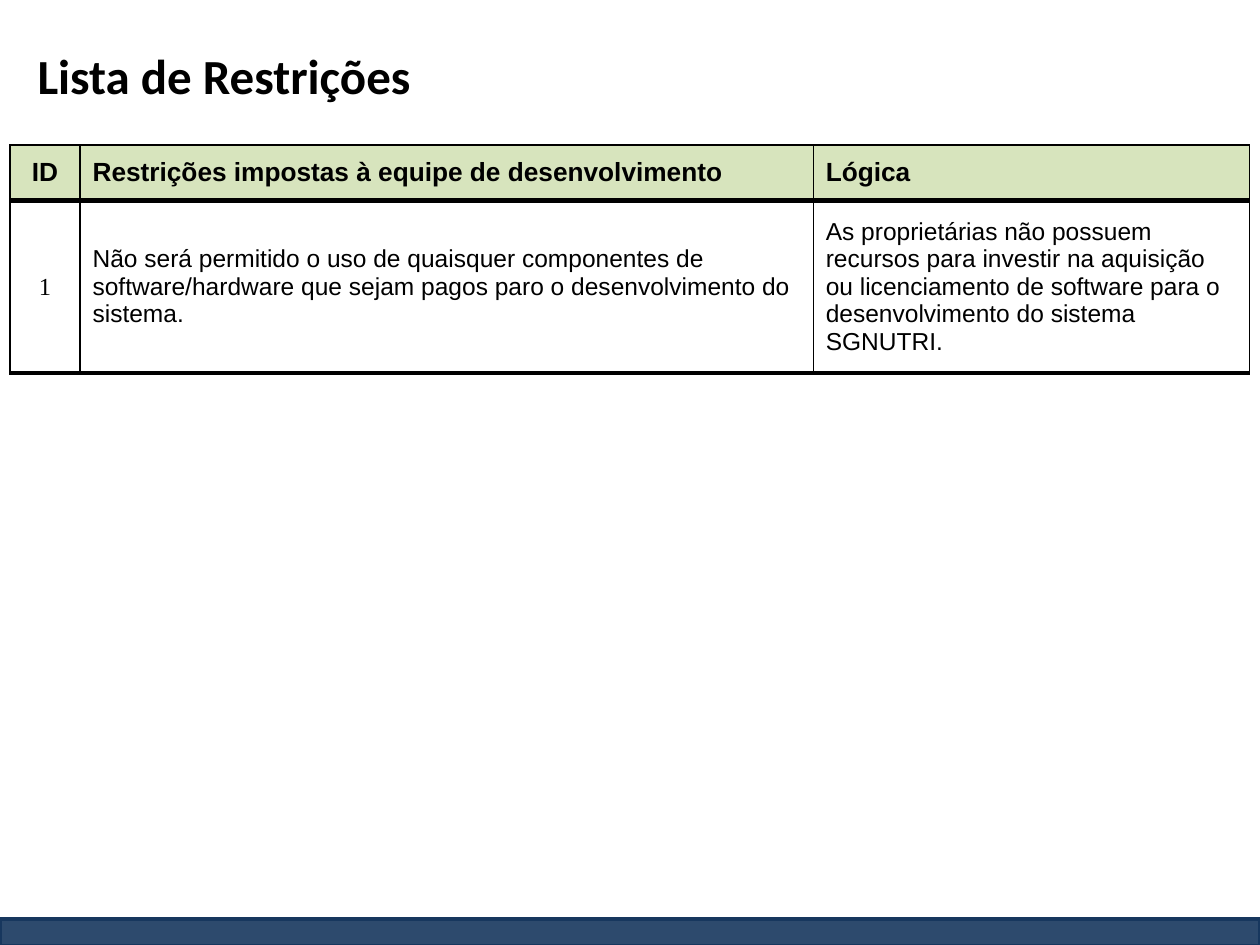
from lxml import etree
from pptx import Presentation
from pptx.dml.color import RGBColor
from pptx.enum.shapes import MSO_SHAPE
from pptx.enum.text import MSO_ANCHOR, PP_ALIGN
from pptx.oxml.ns import qn
from pptx.util import Pt

RECTANGLE = MSO_SHAPE.RECTANGLE
MIDDLE = MSO_ANCHOR.MIDDLE
LEFT, CENTER = PP_ALIGN.LEFT, PP_ALIGN.CENTER

COLORS = {"text": "000000", "border": "000000", "header": "D7E4BD", "footer": "17375E"}


def add_text(frame, text, font, size, bold, align=LEFT):
    frame.word_wrap = True
    paragraph = frame.paragraphs[0]
    paragraph.alignment = align
    run = paragraph.add_run()
    run.text = text
    run.font.name = font
    run.font.size = Pt(size)
    run.font.bold = bold
    run.font.color.rgb = RGBColor.from_string(COLORS["text"])


def add_borders(cell, widths):
    properties = cell._tc.get_or_add_tcPr()
    for position, (side, width) in enumerate(widths.items()):
        line = etree.Element(qn(f"a:{side}"), w=str(Pt(width)))
        fill = etree.SubElement(line, qn("a:solidFill"))
        etree.SubElement(fill, qn("a:srgbClr"), val=COLORS["border"])
        properties.insert(position, line)


prs = Presentation()
prs.slide_width, prs.slide_height = Pt(720), Pt(540)
slide = prs.slides.add_slide(prs.slide_layouts[6])

# Footer band
footer = slide.shapes.add_shape(RECTANGLE, Pt(0), Pt(525), Pt(720), Pt(15.5))
footer.shadow.inherit = False
footer.fill.solid()
footer.fill.fore_color.rgb = RGBColor.from_string(COLORS["footer"])
footer_color = footer.fill._xPr.find(qn("a:solidFill"))[0]
etree.SubElement(footer_color, qn("a:alpha"), val="90000")
footer.line.color.rgb = RGBColor.from_string(COLORS["footer"])
footer.line.width = Pt(2)

# Title
title = slide.shapes.add_textbox(Pt(14.4), Pt(21), Pt(692), Pt(44))
title.text_frame.vertical_anchor = MIDDLE
add_text(title.text_frame, "Lista de Restrições", "Calibri", 28, True)

# Constraints table
column_widths = [40, 419, 249.5]
row_heights = [31.8, 98.6]
rows = [
    ["ID", "Restrições impostas à equipe de desenvolvimento", "Lógica"],
    [
        "1",
        "Não será permitido o uso de quaisquer componentes de software/hardware "
        "que sejam pagos paro o desenvolvimento do sistema.",
        "As proprietárias não possuem recursos para investir na aquisição ou "
        "licenciamento de software para o desenvolvimento do sistema SGNUTRI.",
    ],
]
constraints = slide.shapes.add_table(
    len(rows), len(column_widths), Pt(5.7), Pt(82.8),
    Pt(sum(column_widths)), Pt(sum(row_heights)),
).table
for column, width in zip(constraints.columns, column_widths):
    column.width = Pt(width)
for row, height in zip(constraints.rows, row_heights):
    row.height = Pt(height)

for r, texts in enumerate(rows):
    is_header = r == 0
    for c, text in enumerate(texts):
        cell = constraints.cell(r, c)
        cell.vertical_anchor = MIDDLE
        cell.margin_left = cell.margin_right = Pt(7.2)
        cell.margin_top = cell.margin_bottom = Pt(3.6)
        if is_header:
            cell.fill.solid()
            cell.fill.fore_color.rgb = RGBColor.from_string(COLORS["header"])
        else:
            cell.fill.background()
        add_borders(cell, {"lnL": 0.75, "lnR": 0.75, "lnT": 1 if is_header else 3, "lnB": 3})
        font = "Times New Roman" if c == 0 and not is_header else "Arial"
        add_text(cell.text_frame, text, font, 15 if is_header else 14, is_header,
                 CENTER if c == 0 else LEFT)

prs.save("out.pptx")
